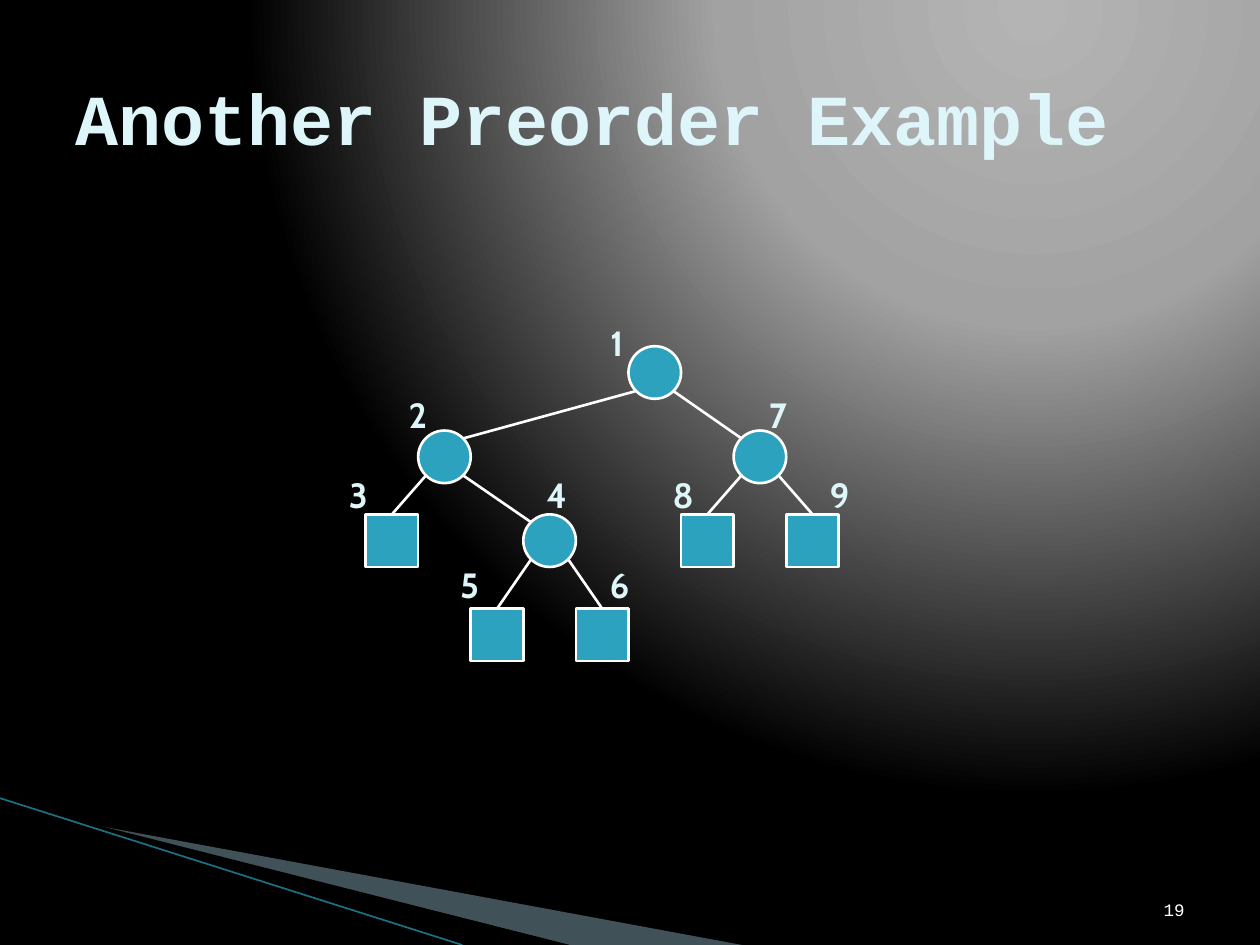
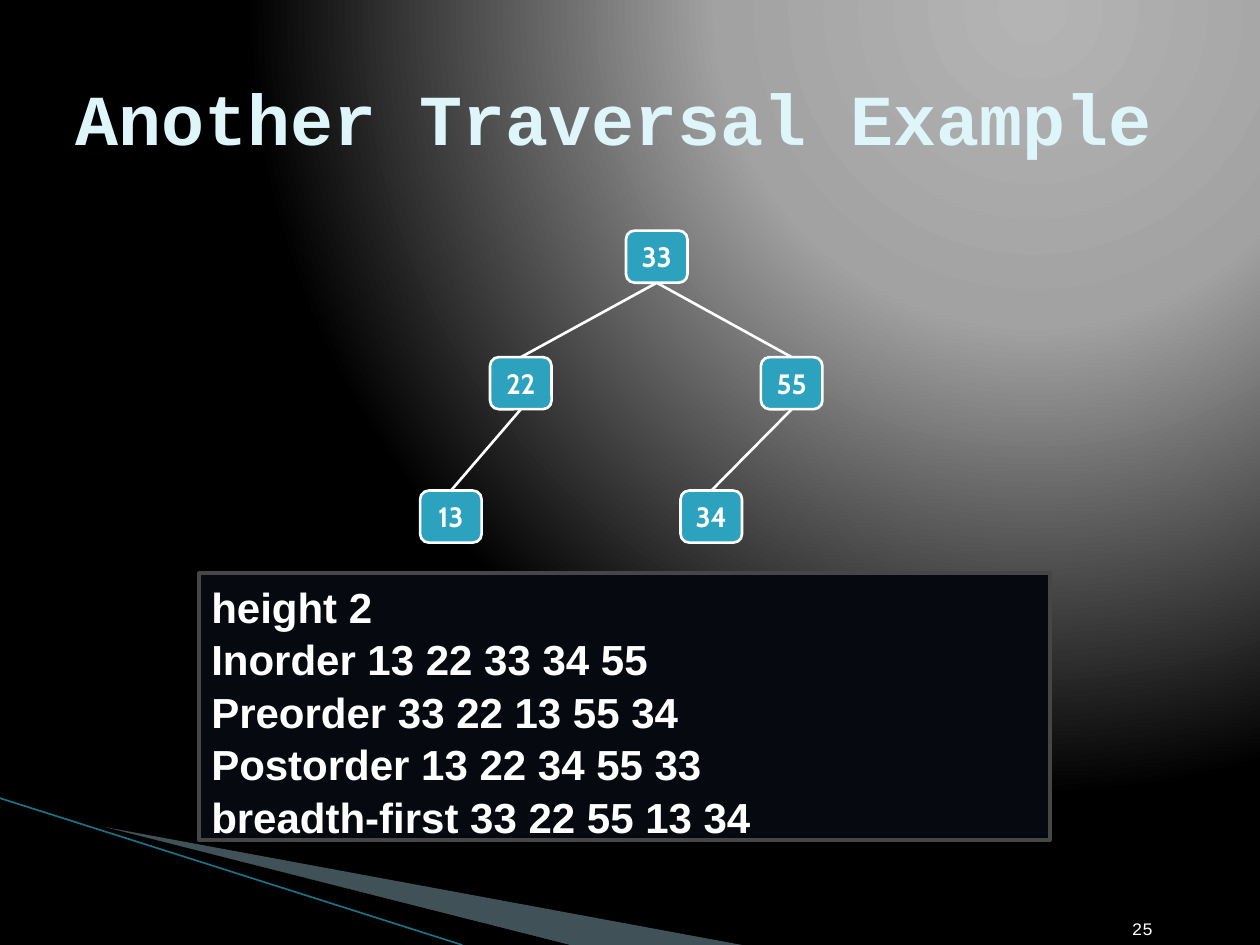
from dataclasses import dataclass
from typing import Any

from lxml.etree import SubElement
from pptx import Presentation
from pptx.dml.color import RGBColor
from pptx.enum.shapes import MSO_CONNECTOR, MSO_SHAPE
from pptx.enum.text import MSO_ANCHOR, PP_ALIGN
from pptx.oxml import parse_xml
from pptx.oxml.ns import nsdecls, qn
from pptx.util import Cm, Pt

WHITE, PALE, TEAL, BLACK = "FFFFFF", "DEF5FA", "2DA2BF", "000000"
GLOW = ((0, "B4B4B4"), (40, "A2A2A2"), (100, BLACK))
TITLE = {"size": Pt(41), "name": "Courier New", "bold": True}
PAGE = {"size": Pt(10), "name": "Courier New"}
LABEL = {"size": Pt(20), "name": "Cabin", "bold": True}
KEY = {"size": Pt(16), "name": "Cabin", "bold": True}
BODY = {"size": Pt(24), "name": "Arial", "bold": True}
MID = {"vertical_anchor": MSO_ANCHOR.MIDDLE, "word_wrap": True}
LOW = {"vertical_anchor": MSO_ANCHOR.BOTTOM, "word_wrap": True}
TOP = {"vertical_anchor": MSO_ANCHOR.TOP, "word_wrap": True}
LOOSE = {"vertical_anchor": MSO_ANCHOR.TOP, "word_wrap": False}
TIGHT = {"vertical_anchor": MSO_ANCHOR.MIDDLE, "word_wrap": False}
LEFT = {"alignment": PP_ALIGN.LEFT}
RIGHT = {"alignment": PP_ALIGN.RIGHT}
CENTER = {"alignment": PP_ALIGN.CENTER}

SIDE = 1.06
INSET = 0.16
GRID_LEFT = 7.37
ROWS = (6.98, 8.68, 10.37, 12.27)
LABEL_ROWS = (6.35, 7.8, 9.42, 11.23)
KEY_WIDE, KEY_HIGH = 1.24, 1.05


@dataclass(frozen=True)
class Node:
    text: str
    col: int
    row: int
    label: float
    root: str = ""
    leaf: bool = False

    @property
    def left(self) -> float:
        return GRID_LEFT + SIDE * self.col

    @property
    def top(self) -> float:
        return ROWS[self.row]


@dataclass(frozen=True)
class Key:
    text: str
    left: float
    top: float
    root: str = ""

    @property
    def mid(self) -> float:
        return self.left + KEY_WIDE / 2


NODES = (
    Node("1", 5, 0, 11.99),
    Node("2", 1, 1, 7.98, "1"),
    Node("3", 0, 2, 6.78, "2", True),
    Node("4", 3, 2, 10.77, "2"),
    Node("5", 2, 3, 9.02, "4", True),
    Node("6", 4, 3, 12.04, "4", True),
    Node("7", 7, 1, 15.24, "1"),
    Node("8", 6, 2, 13.31, "7", True),
    Node("9", 8, 2, 16.48, "7", True),
)
KEYS = (
    Key("33", 12.62, 4.65),
    Key("22", 9.88, 7.2, "33"),
    Key("55", 15.34, 7.2, "33"),
    Key("13", 8.47, 9.89, "22"),
    Key("34", 13.72, 9.89, "55"),
)
ORDERS = (
    "height 2",
    "Inorder 13 22 33 34 55",
    "Preorder 33 22 13 55 34",
    "Postorder 13 22 34 55 33",
    "breadth-first 33 22 55 13 34",
)


def tint(code: str) -> RGBColor:
    return RGBColor.from_string(code)


def apply(item: Any, form: dict[str, Any]) -> None:
    for name, value in form.items():
        setattr(item, name, value)


def write(shape: Any, lines: tuple[str, ...], font: dict, color: str,
          frame: dict, para: dict) -> None:
    body = shape.text_frame
    apply(body, frame)
    body.text = "\n".join(lines)
    for part in body.paragraphs:
        apply(part, para)
        for run in part.runs:
            apply(run.font, font)
            run.font.color.rgb = tint(color)


def add_text(slide: Any, text: str, box: tuple[float, ...], font: dict,
             color: str, frame: dict, para: dict) -> None:
    shape = slide.shapes.add_textbox(*map(Cm, box))
    write(shape, (text,), font, color, frame, para)


def add_block(slide: Any, kind: MSO_SHAPE, box: tuple[float, ...],
              fill: str = TEAL, edge: str = WHITE, width: float = 1.5) -> Any:
    shape = slide.shapes.add_shape(kind, *map(Cm, box))
    shape.shadow.inherit = False
    shape.fill.solid()
    shape.fill.fore_color.rgb = tint(fill)
    shape.line.color.rgb = tint(edge)
    shape.line.width = Pt(width)
    return shape


def add_line(slide: Any, start: tuple[float, float], end: tuple[float, float],
             color: str = WHITE, width: float = 1.5) -> None:
    ends = map(Cm, start + end)
    line = slide.shapes.add_connector(MSO_CONNECTOR.STRAIGHT, *ends)
    line.line.color.rgb = tint(color)
    line.line.width = Pt(width)
    SubElement(line.element.spPr, qn("a:effectLst"))


def add_wedge(slide: Any, spots: tuple[tuple[float, float], ...],
              color: str, alpha: int = 100) -> None:
    first, *rest = [(Cm(x), Cm(y)) for x, y in spots]
    path = slide.shapes.build_freeform(*first)
    path.add_line_segments(rest)
    wedge = path.convert_to_shape()
    wedge.shadow.inherit = False
    wedge.line.fill.background()
    wedge.fill.solid()
    wedge.fill.fore_color.rgb = tint(color)
    if alpha < 100:
        tone = wedge.element.spPr.find(".//" + qn("a:srgbClr"))
        SubElement(tone, qn("a:alpha"), val=str(alpha * 1000))


def add_glow(slide: Any) -> None:
    slide.background.fill.solid()
    stops = "".join(
        f'<a:gs pos="{spot * 1000}"><a:srgbClr val="{code}"/></a:gs>'
        for spot, code in GLOW)
    back = slide.element.find(".//" + qn("p:bgPr"))
    back[0] = parse_xml(
        f'<a:gradFill {nsdecls("a")} rotWithShape="1"><a:gsLst>{stops}</a:gsLst>'
        '<a:path path="circle"><a:fillToRect l="65000" t="0" r="0" b="98000"/>'
        '</a:path></a:gradFill>')


def add_page(deck: Any, title: str, number: str, box: tuple[float, ...]) -> Any:
    slide = deck.slides.add_slide(deck.slide_layouts[6])
    add_glow(slide)
    add_wedge(slide, ((1.4, 16.54), (14.96, 19.05), (11.48, 19.05),
                      (1.4, 16.51)), "A0CBDC", 40)
    add_wedge(slide, ((1.35, 16.48), (11.48, 19.05), (9.42, 19.05),
                      (1.37, 16.51)), BLACK)
    add_line(slide, (0, 16.09), (9.32, 19.05), "1B7185", 0.95)
    add_text(slide, number, box, PAGE, WHITE, LOW, RIGHT)
    add_text(slide, title, (1.27, 0.76, 22.86, 3.18), TITLE, PALE, MID, LEFT)
    return slide


def draw_nodes(slide: Any) -> None:
    known = {node.text: node for node in NODES}
    for node in NODES:
        kind = MSO_SHAPE.RECTANGLE if node.leaf else MSO_SHAPE.OVAL
        add_block(slide, kind, (node.left, node.top, SIDE, SIDE))
        box = (node.label, LABEL_ROWS[node.row], 0.89, 1.09)
        add_text(slide, node.text, box, LABEL, PALE, LOOSE, CENTER)
        if not node.root:
            continue
        root = known[node.root]
        near, far = INSET, SIDE - INSET
        if node.col < root.col:
            near, far = far, near
        start = (root.left + far, root.top + SIDE - INSET)
        end = (node.left + near, node.top + INSET)
        if node.leaf:
            end = (node.left + SIDE / 2, node.top)
        add_line(slide, start, end)


def draw_keys(slide: Any) -> None:
    known = {key.text: key for key in KEYS}
    for key in KEYS:
        box = (key.left, key.top, KEY_WIDE, KEY_HIGH)
        shape = add_block(slide, MSO_SHAPE.ROUNDED_RECTANGLE, box)
        write(shape, (key.text,), KEY, WHITE, TIGHT, CENTER)
        if key.root:
            root = known[key.root]
            add_line(slide, (root.mid, root.top + KEY_HIGH), (key.mid, key.top))


def main() -> None:
    deck = Presentation()
    apply(deck, {"slide_width": Cm(25.4), "slide_height": Cm(19.05)})

    slide = add_page(deck, "Another Preorder Example", "19",
                     (18.21, 17.35, 5.92, 1.32))
    draw_nodes(slide)

    slide = add_page(deck, "Another Traversal Example", "25",
                     (18.21, 17.78, 5.28, 1.27))
    draw_keys(slide)
    panel = add_block(slide, MSO_SHAPE.RECTANGLE, (4.01, 11.56, 17.15, 5.38),
                      "060A10", "464646", 2.25)
    write(panel, ORDERS, BODY, WHITE, TOP, LEFT | {"line_spacing": 1.04})

    deck.save("out.pptx")


if __name__ == "__main__":
    main()
